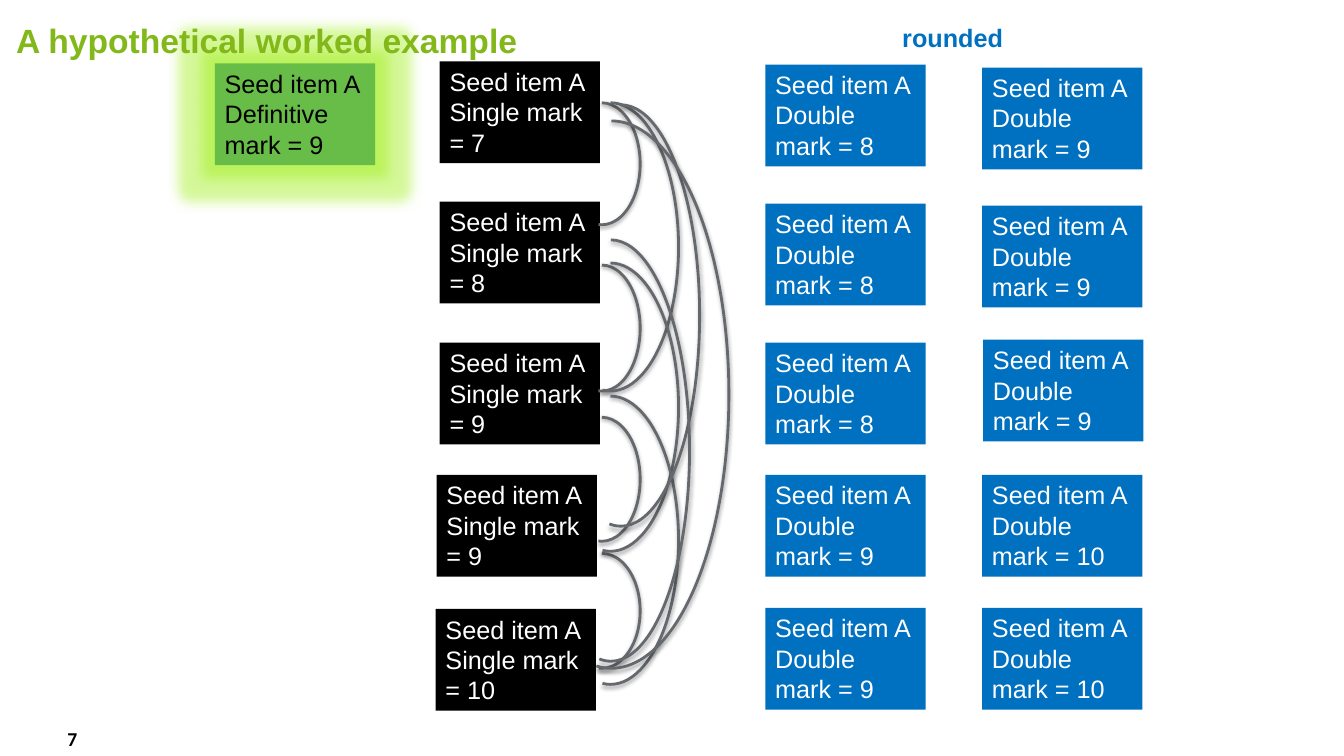
from lxml.etree import SubElement
from pptx import Presentation
from pptx.dml.color import RGBColor
from pptx.enum.shapes import MSO_SHAPE
from pptx.enum.text import MSO_ANCHOR, MSO_AUTO_SIZE, PP_ALIGN
from pptx.oxml.ns import qn
from pptx.util import Emu, Pt

PX = 9144  # 100 px to the inch
BOX_WIDTH, BOX_HEIGHT = 159, 101

BLACK = RGBColor(0x00, 0x00, 0x00)
WHITE = RGBColor(0xFF, 0xFF, 0xFF)
BLUE = RGBColor(0x00, 0x70, 0xC0)
GREEN = RGBColor(0x68, 0xBD, 0x49)
TITLE_GREEN = RGBColor(0x83, 0xB8, 0x1A)
GLOW_GREEN = RGBColor(0x96, 0xEE, 0x00)
GREY = RGBColor(0x65, 0x69, 0x6E)

# left, top, mark
SINGLE_MARKS = [(436, 61, 7), (436, 200, 8), (436, 340, 9), (433, 471, 9), (432, 604, 10)]
DOUBLE_MARKS = [(759, 64, 8), (759, 202, 8), (759, 340, 8), (759, 471, 9), (759, 603, 9)]
ROUNDED_MARKS = [(974, 67, 9), (974, 204, 9), (975, 337, 9), (974, 471, 10), (974, 603, 10)]

# left, top, width, height: one arc for each pair of single marks
PAIR_ARCS = [
    (559, 102, 76, 121), (559, 263, 76, 125), (559, 414, 76, 123), (559, 549, 76, 114),
    (538, 102, 135, 286), (538, 261, 135, 286), (538, 393, 135, 286),
    (538, 104, 156, 418), (528, 238, 156, 418),
    (490, 120, 233, 543),
]


def px(*lengths):
    return [Emu(length * PX) for length in lengths]


def write(shape, text, *, size=18, color=WHITE, bold=False, font="Arial",
          anchor=MSO_ANCHOR.TOP, side_inset=10):
    """Fill a shape with one paragraph for each line of text."""
    frame = shape.text_frame
    frame.word_wrap = True
    frame.auto_size = MSO_AUTO_SIZE.NONE
    frame.vertical_anchor = anchor
    frame.margin_left = frame.margin_right = Emu(side_inset * PX)
    frame.text = text
    for para in frame.paragraphs:
        para.alignment = PP_ALIGN.LEFT
        para.font.name = font
        para.font.size = Pt(size)
        para.font.bold = bold
        para.font.color.rgb = color


def add_label(page, text, left, top, width, height, **text_format):
    box = page.shapes.add_textbox(*px(left, top, width, height))
    write(box, text, **text_format)


def add_mark_box(page, left, top, kind, mark, fill, color=WHITE):
    box = page.shapes.add_shape(MSO_SHAPE.RECTANGLE, *px(left, top, BOX_WIDTH, BOX_HEIGHT))
    box.shadow.inherit = False
    box.fill.solid()
    box.fill.fore_color.rgb = fill
    box.line.fill.background()
    write(box, f"Seed item A\n{kind} mark = {mark}", color=color)
    return box


def add_effect(shape, name, color, alpha, **attributes):
    """Add a glow or an outer shadow, with alpha in percent."""
    shape.shadow.inherit = False
    effects = shape._element.spPr.find(qn("a:effectLst"))
    effect = SubElement(effects, qn(name), {key: str(value) for key, value in attributes.items()})
    tint = SubElement(effect, qn("a:srgbClr"), val=str(color))
    SubElement(tint, qn("a:alpha"), val=str(alpha * 1000))


def add_pair_arc(page, left, top, width, height):
    arc = page.shapes.add_shape(MSO_SHAPE.ARC, *px(left, top, width, height))
    arc.adjustments[0] = 162
    arc.adjustments[1] = 55.91
    arc.fill.background()
    arc.line.color.rgb = GREY
    arc.line.width = Pt(2)
    add_effect(arc, "a:outerShdw", BLACK, 38, blurRad=Pt(3.1), dist=Pt(1.6),
               dir=90 * 60000, rotWithShape=0)


def main():
    deck = Presentation()
    deck.slide_width, deck.slide_height = px(1333, 750)
    page = deck.slides.add_slide(deck.slide_layouts[6])

    add_label(page, "7", 57, 717, 55, 31, size=14, color=BLACK, bold=True,
              font="Calibri", anchor=MSO_ANCHOR.MIDDLE)

    definitive = add_mark_box(page, 213, 63, "Definitive", 9, GREEN, BLACK)
    add_effect(definitive, "a:glow", GLOW_GREEN, 40, rad=Pt(18))

    columns = [("Single", BLACK, SINGLE_MARKS), ("Double", BLUE, DOUBLE_MARKS),
               ("Double", BLUE, ROUNDED_MARKS)]
    for kind, fill, marks in columns:
        for left, top, mark in marks:
            add_mark_box(page, left, top, kind, mark, fill)

    for bounds in PAIR_ARCS:
        add_pair_arc(page, *bounds)

    add_label(page, "A hypothetical worked example", 16, 15, 925, 63, size=24,
              color=TITLE_GREEN, bold=True, side_inset=0)
    add_label(page, "rounded", 885, 17, 152, 40, color=BLUE, bold=True)

    deck.save("out.pptx")


if __name__ == "__main__":
    main()
